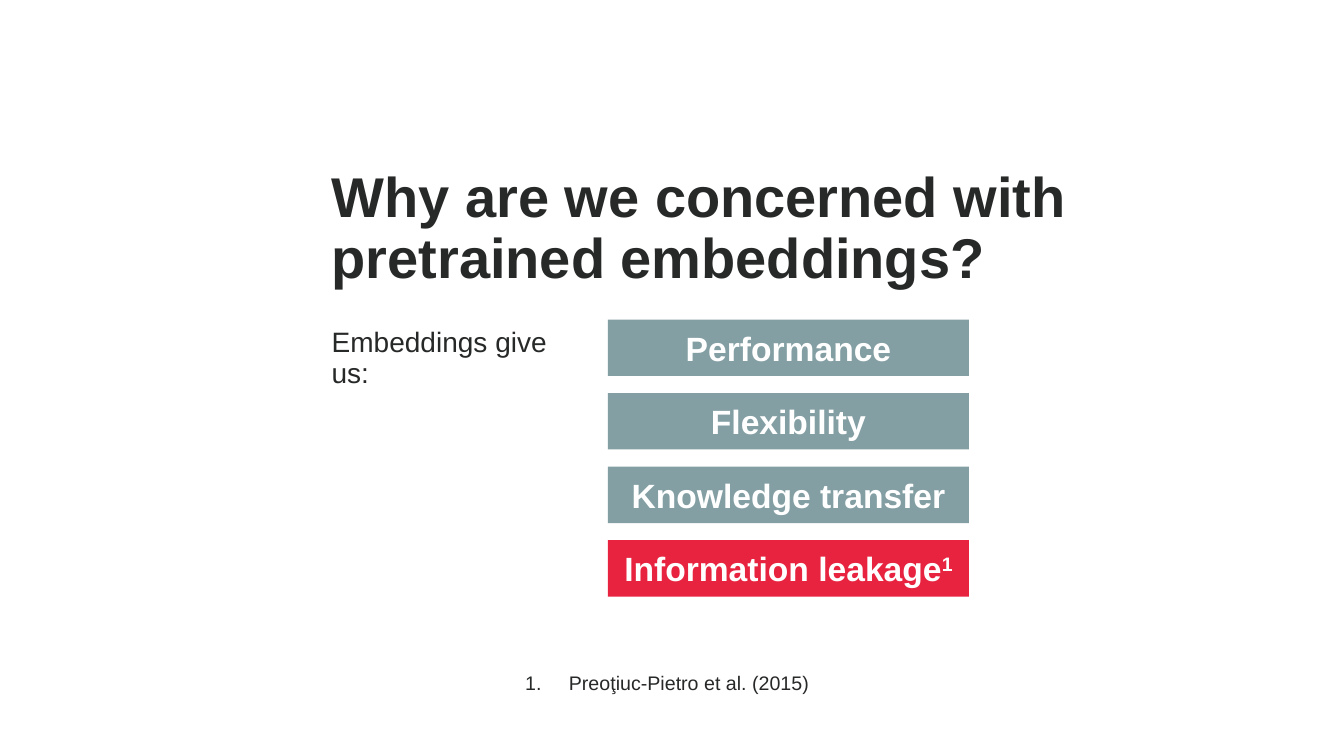
"""Build a slide on why pretrained embeddings raise concerns."""
from dataclasses import dataclass

from lxml import etree
from pptx import Presentation, util as u
from pptx.dml.color import RGBColor
from pptx.enum import shapes, text
from pptx.oxml.ns import qn

INK = RGBColor(0x27, 0x29, 0x28)
WHITE = RGBColor(0xFF, 0xFF, 0xFF)
TEAL = RGBColor(0x84, 0x9F, 0xA4)
RED = RGBColor(0xE8, 0x23, 0x40)

BAR_LEFT, BAR_TOP, BAR_WIDTH, BAR_HEIGHT, BAR_PITCH = 6.03, 3.17, 3.58, 0.56, 0.73


@dataclass(frozen=True)
class Bar:
    """A benefit or risk of embeddings."""
    label: str
    fill: RGBColor = TEAL
    footnote: str = ""


BARS = (
    Bar("Performance"),
    Bar("Flexibility"),
    Bar("Knowledge transfer"),
    Bar("Information leakage", RED, "1"),
)


def set_all(target, values: dict) -> None:
    """Set each named attribute on the target."""
    for name, value in values.items():
        setattr(target, name, value)


def add_run(paragraph, wording: str, size: int, color: RGBColor, bold: bool = False):
    """Append a formatted run and return it."""
    run = paragraph.add_run()
    run.text = wording
    set_all(run.font, {"name": "Arial", "size": u.Pt(size), "bold": bold})
    run.font.color.rgb = color
    return run


def place(shape, left: float, top: float, width: float, height: float) -> None:
    """Position a shape in inches."""
    set_all(shape, {"left": u.Inches(left), "top": u.Inches(top),
                    "width": u.Inches(width), "height": u.Inches(height)})


def format_frame(frame, side: float, top: float, bottom: float, anchor) -> None:
    """Set the wrapping, insets and anchor of a text frame."""
    set_all(frame, {"word_wrap": True, "auto_size": text.MSO_AUTO_SIZE.NONE,
                    "vertical_anchor": anchor,
                    "margin_left": u.Inches(side), "margin_right": u.Inches(side),
                    "margin_top": u.Inches(top), "margin_bottom": u.Inches(bottom)})


def add_title(slide) -> None:
    """Fill the title placeholder."""
    title = slide.shapes.title
    place(title, 2.98, 1.67, 8.26, 1.21)
    format_frame(title.text_frame, 0.31, 0, 0, text.MSO_ANCHOR.BOTTOM)
    paragraph = title.text_frame.paragraphs[0]
    set_all(paragraph, {"alignment": text.PP_ALIGN.LEFT, "line_spacing": 0.9})
    add_run(paragraph, "Why are we concerned with pretrained embeddings?", 40, INK, True)


def add_lead_in(slide) -> None:
    """Add the phrase that introduces the bars."""
    box = slide.shapes.add_textbox(0, 0, 0, 0)
    place(box, 2.98, 3.18, 3.06, 2.11)
    format_frame(box.text_frame, 0.31, 0.08, 0.05, text.MSO_ANCHOR.TOP)
    paragraph = box.text_frame.paragraphs[0]
    set_all(paragraph, {"line_spacing": 0.9, "space_before": u.Pt(10)})
    add_run(paragraph, "Embeddings give us:", 20, INK)


def add_bar(slide, bar: Bar, row: int) -> None:
    """Add one coloured bar at its row."""
    shape = slide.shapes.add_shape(shapes.MSO_SHAPE.RECTANGLE, 0, 0, 0, 0)
    place(shape, BAR_LEFT, BAR_TOP + row * BAR_PITCH, BAR_WIDTH, BAR_HEIGHT)
    shape.shadow.inherit = False
    shape.fill.solid()
    shape.fill.fore_color.rgb = bar.fill
    shape.line.fill.background()
    format_frame(shape.text_frame, 0.1, 0.05, 0.05, text.MSO_ANCHOR.MIDDLE)
    paragraph = shape.text_frame.paragraphs[0]
    paragraph.alignment = text.PP_ALIGN.CENTER
    add_run(paragraph, bar.label, 24, WHITE, True)
    if bar.footnote:
        mark = add_run(paragraph, bar.footnote, 24, WHITE, True)
        mark.font._element.set("baseline", "30000")


def add_reference(slide) -> None:
    """Add the numbered reference."""
    box = slide.shapes.add_textbox(0, 0, 0, 0)
    place(box, 5.11, 6.61, 3.25, 0.34)
    format_frame(box.text_frame, 0.1, 0.05, 0.05, text.MSO_ANCHOR.TOP)
    paragraph = box.text_frame.paragraphs[0]
    add_run(paragraph, " Preoţiuc-Pietro et al. (2015)", 14, INK)
    properties = paragraph._p.get_or_add_pPr()
    indent = u.Inches(0.38)
    properties.set("marL", str(indent))
    properties.set("indent", str(-indent))
    etree.SubElement(properties, qn("a:buAutoNum"), type="arabicPeriod")


def main() -> None:
    """Build and save the presentation."""
    presentation = Presentation()
    set_all(presentation, {"slide_width": u.Inches(13.33), "slide_height": u.Inches(7.5)})
    slide = presentation.slides.add_slide(presentation.slide_layouts[5])
    add_title(slide)
    add_lead_in(slide)
    for row, bar in enumerate(BARS):
        add_bar(slide, bar, row)
    add_reference(slide)
    presentation.save("out.pptx")


if __name__ == "__main__":
    main()
